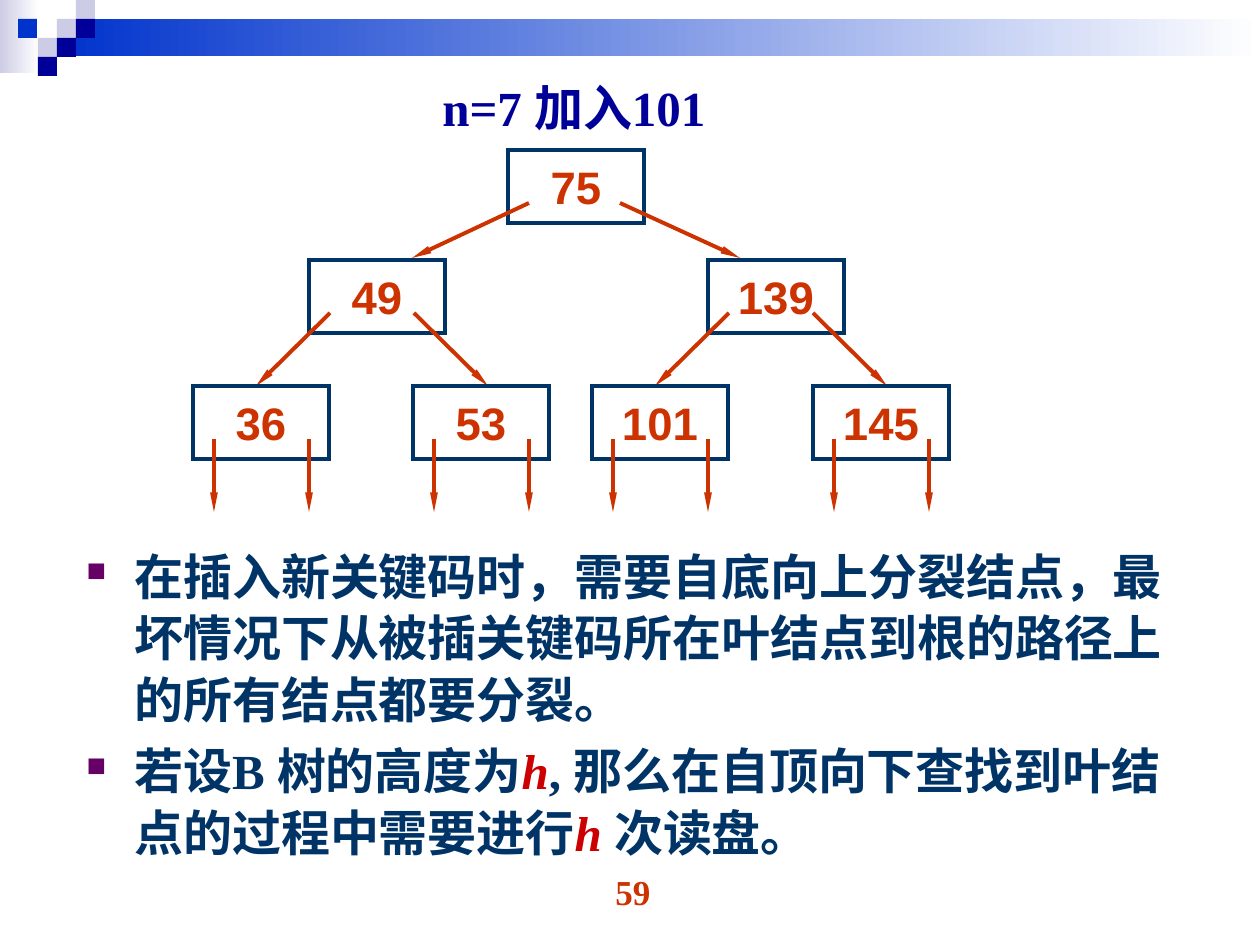
from lxml import etree
from pptx import Presentation
from pptx.dml.color import RGBColor
from pptx.enum.shapes import MSO_CONNECTOR, MSO_SHAPE
from pptx.enum.text import MSO_ANCHOR, MSO_AUTO_SIZE, PP_ALIGN
from pptx.oxml.ns import qn
from pptx.util import Emu, Pt

RECTANGLE = MSO_SHAPE.RECTANGLE
STRAIGHT = MSO_CONNECTOR.STRAIGHT
CENTER, LEFT = PP_ALIGN.CENTER, PP_ALIGN.LEFT
MIDDLE = MSO_ANCHOR.MIDDLE
GROW, FIXED = MSO_AUTO_SIZE.SHAPE_TO_FIT_TEXT, MSO_AUTO_SIZE.NONE

PX_PER_INCH = 126
SERIF, SANS = "Times New Roman", "Arial"
NAVY, BLUE, PALE = "000099", "0033CC", "CCCCE6"
INK, ORANGE, RED, PURPLE, WHITE = "003366", "CC3300", "CC0000", "660066", "FFFFFF"

TILE = 19
TILES = [(57, 19, PALE), (76, 0, PALE), (76, 19, NAVY), (38, 38, PALE),
         (18, 19, BLUE), (57, 38, NAVY), (38, 57, NAVY)]

NODE_WIDTH, NODE_HEIGHT = 136, 73
ARROW_DROP = 53
LEVELS = [
    (150, [(508, "75")], (21, 112), (-96, 232), 108),
    (260, [(309, "49"), (708, "139")], (21, 105), (-53, 179), 126),
    (386, [(193, "36"), (413, "53"), (592, "101"), (813, "145")],
     (21, 116), (21, 116), 126),
]

BULLETS = [
    [("在插入新关键码时，需要自底向上分裂结点，最坏情况下从被插关键码所在叶结点到根的路径上的所有结点都要分裂。",
      {"font": SANS})],
    [("若", {"font": SANS}),
     ("设B 树的高度为", {}),
     ("h", {"color": RED, "italic": True}),
     (", 那么在自顶向下查找到叶结点的过程中需要进行", {}),
     ("h ", {"color": RED, "italic": True}),
     ("次读盘。", {})],
]


def px(value):
    return Emu(round(value * 914400 / PX_PER_INCH))


def rgb(value):
    return RGBColor.from_string(value)


def add_span(para, text, size=28, font=SERIF, color=INK, italic=False):
    span = para.add_run()
    span.text = text
    span.font.size = Pt(size)
    span.font.name = font
    span.font.bold = True
    span.font.italic = italic
    span.font.color.rgb = rgb(color)


def add_box(page, left, top, width, height):
    box = page.shapes.add_textbox(px(left), px(top), px(width), px(height))
    box.text_frame.word_wrap = True
    return box


def add_label(page, text, left, top, width, height, align=LEFT, wrap=True, **style):
    box = add_box(page, left, top, width, height)
    box.text_frame.word_wrap = wrap
    box.text_frame.auto_size = FIXED if wrap else GROW
    para = box.text_frame.paragraphs[0]
    para.alignment = align
    add_span(para, text, **style)


def add_rectangle(page, left, top, width, height, color, fade_to=None):
    shape = page.shapes.add_shape(RECTANGLE, px(left), px(top), px(width), px(height))
    shape.shadow.inherit = False
    shape.line.fill.background()
    if fade_to:
        shape.fill.gradient()
        shape.fill.gradient_angle = 0
        for stop, position, shade in zip(shape.fill.gradient_stops, (0, 1), (color, fade_to)):
            stop.position = position
            stop.color.rgb = rgb(shade)
    else:
        shape.fill.solid()
        shape.fill.fore_color.rgb = rgb(color)
    return shape


def add_node(page, text, left, top):
    node = add_rectangle(page, left, top, NODE_WIDTH, NODE_HEIGHT, WHITE)
    node.line.color.rgb = rgb(INK)
    node.line.width = Pt(2)
    etree.SubElement(node.line._get_or_add_ln(), qn("a:miter"), lim="800000")
    frame = node.text_frame
    frame.word_wrap = False
    frame.vertical_anchor = MIDDLE
    para = frame.paragraphs[0]
    para.alignment = CENTER
    add_span(para, text, size=26, font=SANS, color=ORANGE)


def add_arrow(page, start_x, start_y, end_x, end_y):
    arrow = page.shapes.add_connector(STRAIGHT, px(start_x), px(start_y), px(end_x), px(end_y))
    arrow.line.color.rgb = rgb(ORANGE)
    arrow.line.width = Pt(2.25)
    etree.SubElement(arrow.line._get_or_add_ln(), qn("a:tailEnd"),
                     type="triangle", w="sm", len="lg")
    etree.SubElement(arrow._element.spPr, qn("a:effectLst"))


def add_bullet(para):
    para.line_spacing = 1.05
    para.space_before = Pt(5.2)
    properties = para._p.get_or_add_pPr()
    properties.set("marL", str(px(48)))
    properties.set("indent", str(px(-48)))
    color = etree.SubElement(properties, qn("a:buClr"))
    etree.SubElement(color, qn("a:srgbClr"), val=PURPLE)
    etree.SubElement(properties, qn("a:buSzPct"), val="55000")
    etree.SubElement(properties, qn("a:buChar"), char="■")


def draw_banner(page):
    add_rectangle(page, 0, 0, 39, 73, PALE, fade_to=WHITE)
    add_rectangle(page, 57, 19, 1203, 37, BLUE, fade_to=WHITE)
    for left, top, color in TILES:
        add_rectangle(page, left, top, TILE, TILE, color)


def draw_tree(page):
    for top, nodes, starts, ends, reach in LEVELS:
        for left, key in nodes:
            add_node(page, key, left, top)
            for start, end in zip(starts, ends):
                add_arrow(page, left + start, top + ARROW_DROP, left + end, top + reach)


def draw_bullets(page):
    frame = add_box(page, 74, 537, 1134, 372).text_frame
    for index, spans in enumerate(BULLETS):
        para = frame.add_paragraph() if index else frame.paragraphs[0]
        add_bullet(para)
        for text, style in spans:
            add_span(para, text, **style)


def main():
    deck = Presentation()
    deck.slide_width, deck.slide_height = px(1260), px(945)
    page = deck.slides.add_slide(deck.slide_layouts[6])
    draw_banner(page)
    add_label(page, "59", 486, 864, 294, 66, align=CENTER, size=20, color=ORANGE)
    draw_bullets(page)
    add_label(page, "n=7 加入101", 430, 71, 316, 72, wrap=False, color=NAVY)
    draw_tree(page)
    deck.save("out.pptx")


if __name__ == "__main__":
    main()
